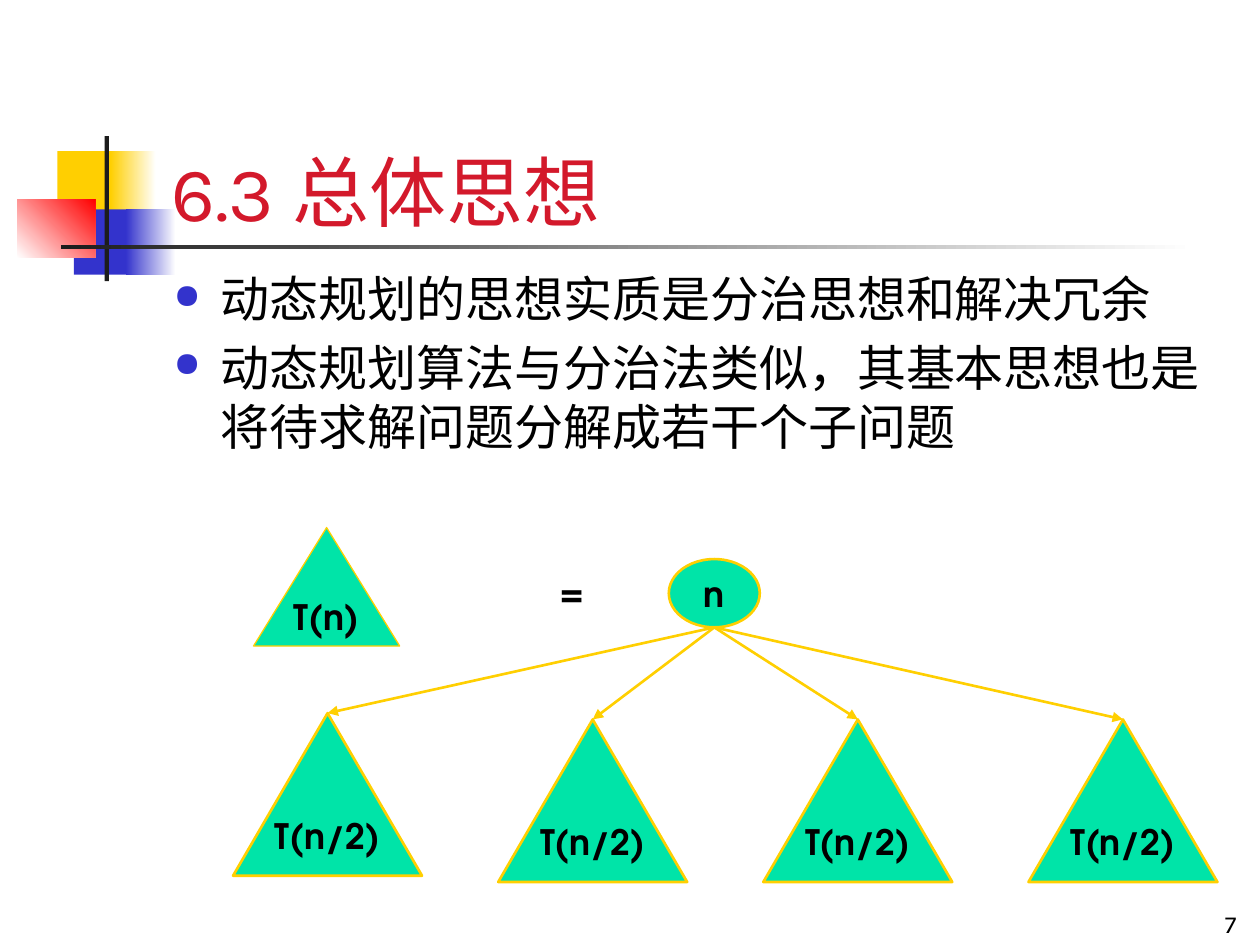
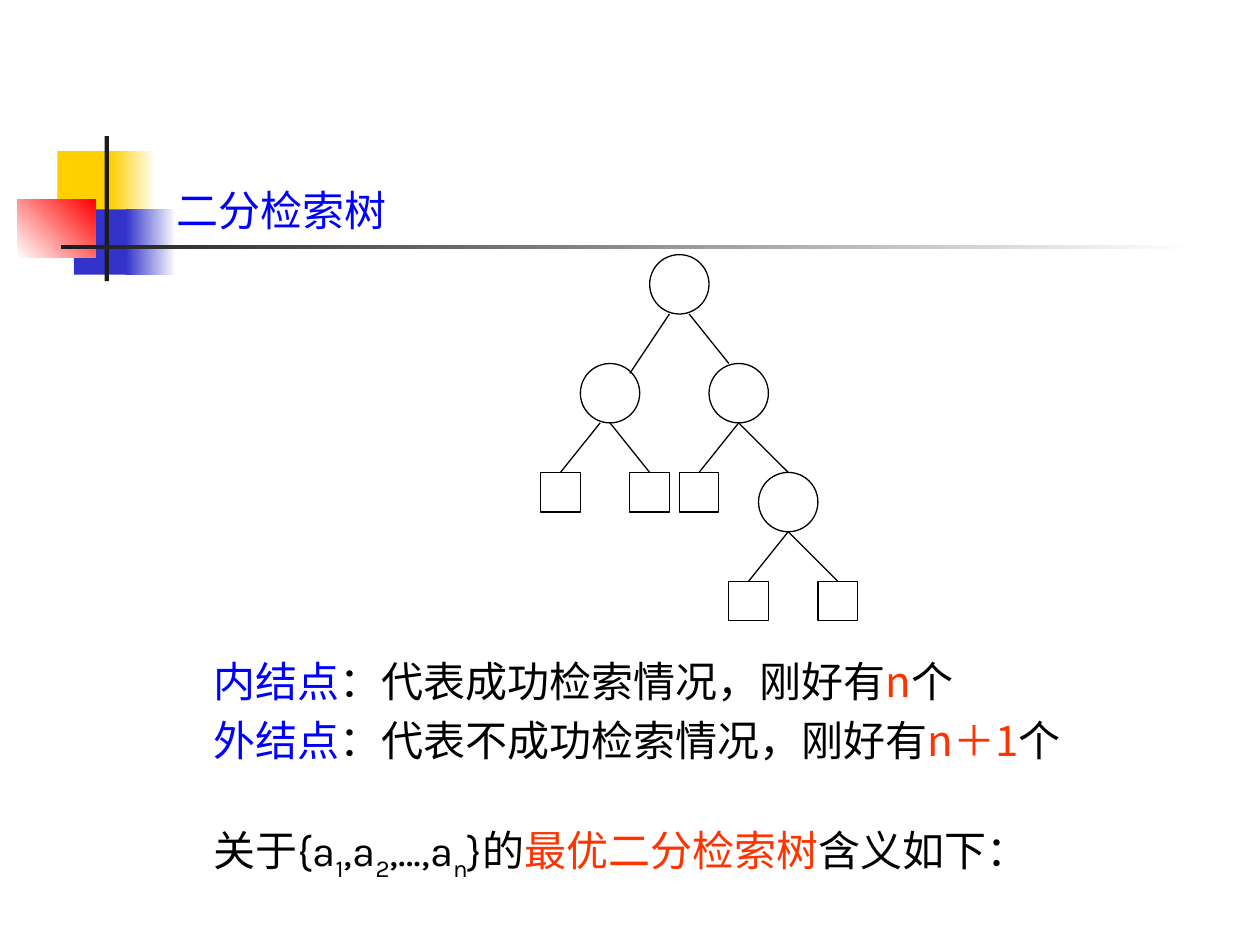
from lxml.etree import SubElement
from pptx import Presentation
from pptx.dml.color import RGBColor
from pptx.enum.shapes import MSO_CONNECTOR as Connector, MSO_SHAPE as Shape
from pptx.enum.text import MSO_ANCHOR as Anchor, PP_ALIGN as Align
from pptx.oxml.ns import qn
from pptx.util import Pt

COLORS = {
    "yellow": "FFCF01", "blue": "3333CC", "red": "FF0000", "white": "FFFFFF",
    "dark": "1C1C1C", "title": "D3192B", "black": "000000", "green": "00E4A8",
    "term": "0000FF", "accent": "FF3300",
}
BODY, CJK, LABEL = "Karla", "Noto Sans CJK SC", "TeX Gyre Adventor"
LABEL_FORMAT = {"name": LABEL, "size": Pt(20), "bold": True}
LINE_FACTOR = 1.2
NODE, LEAF = 6, 4


def rgb(name):
    return RGBColor.from_string(COLORS[name])


def apply(target, values):
    for key, value in values.items():
        setattr(target, key, value)


def add_run(paragraph, text, font, color="black", baseline=0):
    run = paragraph.add_run()
    run.text = text
    apply(run.font, font)
    run.font.color.rgb = rgb(color)
    props = run._r.get_or_add_rPr()
    SubElement(props, qn("a:ea")).set("typeface", CJK)
    if baseline:
        props.set("baseline", str(baseline * 1000))


def add_text(slide, box, paragraphs, font, frame=None, layout=None):
    text_frame = slide.shapes.add_textbox(*map(Pt, box)).text_frame
    apply(text_frame, {"word_wrap": True, **(frame or {})})
    for index, runs in enumerate(paragraphs):
        paragraph = text_frame.add_paragraph() if index else text_frame.paragraphs[0]
        apply(paragraph, layout or {})
        for text, *style in runs:
            add_run(paragraph, text, font, *style)
    return text_frame.paragraphs


def add_form(slide, kind, box, fill=None, fade=None, angle=0, line=None, weight=0.75):
    form = slide.shapes.add_shape(kind, *map(Pt, box))
    form.shadow.inherit = False
    if fade:
        form.fill.gradient()
        form.fill.gradient_angle = angle
        for stop, color in zip(form.fill.gradient_stops, (fill, fade)):
            stop.color.rgb = rgb(color)
    elif fill:
        form.fill.solid()
        form.fill.fore_color.rgb = rgb(fill)
    else:
        form.fill.background()
    if line:
        form.line.color.rgb = rgb(line)
        form.line.width = Pt(weight)
    else:
        form.line.fill.background()
    return form


def add_edge(slide, start, end, color="black", weight=0.75, arrow=False):
    edge = slide.shapes.add_connector(Connector.STRAIGHT, *map(Pt, (*start, *end)))
    edge.line.color.rgb = rgb(color)
    edge.line.width = Pt(weight)
    props = edge._element.spPr
    if arrow:
        SubElement(edge.line._get_or_add_ln(), qn("a:tailEnd")).set("type", "triangle")
    SubElement(props, qn("a:effectLst"))


def draw_emblem(slide, box):
    left, top, width, _ = box
    parts = [
        ((23, 8.6, 34.6, 37.4), "yellow", None, 0),
        ((53.3, 8.6, 26, 37.4), "yellow", "white", 0),
        ((32.5, 41.8, 33, 37.4), "blue", None, 0),
        ((62, 41.8, 28.8, 37.4), "blue", "white", 0),
        ((0, 36, 44.6, 33.4), "white", "red", 45),
        ((50, 0, 2.4, 82.8), "dark", None, 0),
        ((25, 62.3, width - 25, 2.4), "dark", "white", 0),
    ]
    for (x, y, w, h), fill, fade, angle in parts:
        add_form(slide, Shape.RECTANGLE, (left + x, top + y, w, h), fill, fade, angle)


def new_slide(deck):
    slide = deck.slides.add_slide(deck.slide_layouts[6])
    draw_emblem(slide, (9.8, 77.8, 673, 82.8))
    return slide


def add_bullets(slide, box, points, size):
    paragraphs = add_text(slide, box, [[(point,)] for point in points],
                          {"name": BODY, "size": Pt(size)},
                          layout={"line_spacing": Pt(size * LINE_FACTOR)})
    for index, paragraph in enumerate(paragraphs):
        if index:
            paragraph.space_before = Pt(size * 0.2)
        props = paragraph._p.get_or_add_pPr()
        props.set("marL", str(Pt(27)))
        props.set("indent", str(-Pt(27)))
        SubElement(SubElement(props, qn("a:buClr")), qn("a:srgbClr")).set("val", COLORS["blue"])
        SubElement(props, qn("a:buSzPct")).set("val", "70000")
        SubElement(props, qn("a:buChar")).set("char", "●")


def add_problem(slide, kind, box, label, weight=1.5):
    problem = add_form(slide, kind, box, "green", line="yellow", weight=weight)
    apply(problem.text_frame, {"word_wrap": False, "vertical_anchor": Anchor.MIDDLE})
    paragraph = problem.text_frame.paragraphs[0]
    paragraph.alignment = Align.CENTER
    add_run(paragraph, label, LABEL_FORMAT)


def draw_recursion(slide, box):
    left, top, width, height = box
    side, tall = 108, 92.9
    step = (width - side) / 3
    root = (left + 249, top + 18, 52, 39)
    fork = (root[0] + root[2] / 2, root[1] + root[3])
    add_problem(slide, Shape.OVAL, root, "n")
    for index in range(4):
        x = left + index * step
        y = top + height - tall - (0 if index else 3.6)
        add_edge(slide, fork, (x + side / 2, y), "yellow", 1.5, arrow=True)
        add_problem(slide, Shape.ISOSCELES_TRIANGLE, (x, y, side, tall), "T(n/2)")
    add_problem(slide, Shape.ISOSCELES_TRIANGLE, (left + 11.7, top, 83.5, 67.7), "T(n)", 0.75)
    add_text(slide, (left + 159, top + 20.9, 69, 31.7), [[("=",)]], LABEL_FORMAT,
             layout={"alignment": Align.CENTER})


def draw_search_tree(slide, box):
    left, top, width, _ = box
    unit = width / 32

    def at(x, y):
        return left + x * unit, top + y * unit

    inner = [(11, 0), (4, 11), (17, 11), (22, 22)]
    outer = [(0, 22), (9, 22), (14, 22), (19, 33), (28, 33)]
    edges = [
        ((13, 6), (9, 12)), ((15, 6), (19, 11)),
        ((6, 17), (2, 22)), ((7, 17), (11, 22)),
        ((20, 17), (16, 22)), ((20, 17), (25, 22)),
        ((25, 28), (21, 33)), ((25, 28), (30, 33)),
    ]
    for kind, spots, size in ((Shape.OVAL, inner, NODE), (Shape.RECTANGLE, outer, LEAF)):
        for spot in spots:
            add_form(slide, kind, (*at(*spot), size * unit, size * unit), line="black")
    for start, end in edges:
        add_edge(slide, at(*start), at(*end))


def add_definitions(slide, box, size):
    left, top, width, height = box
    pitch = size * LINE_FACTOR
    font = {"name": CJK, "size": Pt(size)}
    definitions = [
        [("内结点", "term"), ("：代表成功检索情况，刚好有",), ("n", "accent"), ("个",)],
        [("外结点", "term"), ("：代表不成功检索情况，刚好有",), ("n＋1", "accent"), ("个",)],
        [("关于",), ("{a",), ("1", "black", -25), (",a",), ("2", "black", -25),
         (",…,a",), ("n", "black", -25), ("}",), ("的",),
         ("最优二分检索树", "accent"), ("含义如下：",)],
    ]
    lines = add_text(slide, box, definitions, font, layout={"line_spacing": Pt(pitch)})
    lines[1].space_before = Pt(size * 0.2)
    lines[2].space_before = Pt(size * 0.4 + pitch)
    for run in lines[2].runs[1:8]:
        run.font.name = BODY


def build_idea_slide(deck):
    slide = new_slide(deck)
    add_text(slide, (90.7, 49, 613.4, 90), [[("6.3 总体思想", "title")]],
             {"name": BODY, "size": Pt(44)}, {"vertical_anchor": Anchor.BOTTOM})
    add_bullets(slide, (92.2, 150, 612, 120), [
        "动态规划的思想实质是分治思想和解决冗余",
        "动态规划算法与分治法类似，其基本思想也是将待求解问题分解成若干个子问题",
    ], 28)
    draw_recursion(slide, (133.2, 301.5, 562.5, 202.5))
    add_text(slide, (563.8, 504, 149.8, 36), [[("7",)]], {"name": BODY, "size": Pt(14)},
             {"vertical_anchor": Anchor.BOTTOM}, {"alignment": Align.RIGHT})


def build_search_tree_slide(deck):
    slide = new_slide(deck)
    add_text(slide, (93.6, 102, 600, 36), [[("二分检索树", "term")]],
             {"name": CJK, "size": Pt(24)}, layout={"line_spacing": Pt(24 * LINE_FACTOR)})
    draw_search_tree(slide, (309, 145.5, 181, 210))
    add_definitions(slide, (115.2, 371, 590, 145), 24)


def main():
    deck = Presentation()
    apply(deck, {"slide_width": Pt(720), "slide_height": Pt(540)})
    build_idea_slide(deck)
    build_search_tree_slide(deck)
    deck.save("out.pptx")


if __name__ == "__main__":
    main()
